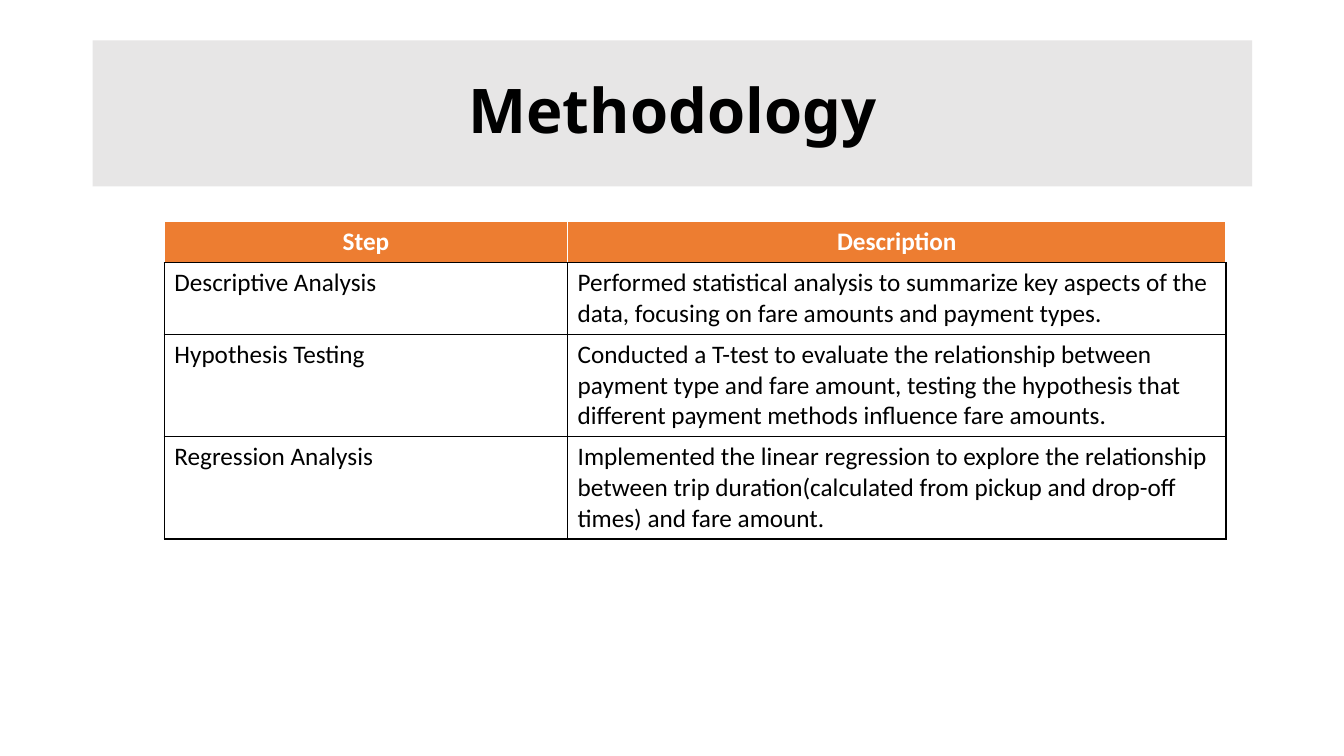
import pptx
import pptx.dml.color
import pptx.enum.shapes
import pptx.enum.text
import pptx.oxml
import pptx.oxml.ns
import pptx.util

COLOURS = {"band": "E7E6E6", "header": "ED7D31", "white": "FFFFFF", "black": "000000"}
ALIGN = pptx.enum.text.PP_ALIGN
STEPS = [
    ("Step", "Description"),
    ("Descriptive Analysis",
     "Performed statistical analysis to summarize key aspects of the data, "
     "focusing on fare amounts and payment types."),
    ("Hypothesis Testing",
     "Conducted a T-test to evaluate the relationship between payment type and fare amount, "
     "testing the hypothesis that different payment methods influence fare amounts."),
    ("Regression Analysis",
     "Implemented the linear regression to explore the relationship between trip duration"
     "(calculated from pickup and drop-off times) and fare amount."),
]


class SlideBuilder:
    """Hold the style and the current slide, and add its elements."""

    def __init__(self, slide, colours):
        self.slide = slide
        self.colours = colours

    def colour(self, name):
        return pptx.dml.color.RGBColor.from_string(self.colours[name])

    def paint(self, target, name):
        target.fill.solid()
        target.fill.fore_color.rgb = self.colour(name)

    def add_text(self, frame, text, colour, font, paragraph):
        para = frame.paragraphs[0]
        span = para.add_run()
        span.text = text
        for target, values in ((para, paragraph), (span.font, font)):
            for key, value in values.items():
                setattr(target, key, value)
        span.font.color.rgb = self.colour(colour)

    def add_title(self, text, bounds):
        box = self.slide.shapes.add_shape(
            pptx.enum.shapes.MSO_SHAPE.RECTANGLE, *map(pptx.util.Inches, bounds))
        box.shadow.inherit = False
        box.line.fill.background()
        self.paint(box, "band")
        box.text_frame.word_wrap = True
        box.text_frame.vertical_anchor = pptx.enum.text.MSO_ANCHOR.MIDDLE
        font = {"name": "Noto Sans", "size": pptx.util.Pt(44), "bold": True}
        self.add_text(box.text_frame, text, "black", font,
                      {"alignment": ALIGN.CENTER, "line_spacing": 0.9})

    def add_borders(self, cell, sides):
        properties = cell._tc.get_or_add_tcPr()
        for index, (side, name) in enumerate(sides.items()):
            line = pptx.oxml.parse_xml(
                f'<a:ln{side} {pptx.oxml.ns.nsdecls("a")} w="12700"><a:solidFill>'
                f'<a:srgbClr val="{self.colours[name]}"/></a:solidFill></a:ln{side}>')
            properties.insert(index, line)

    def add_table(self, rows, corner, widths, heights):
        bounds = (*corner, sum(widths), sum(heights))
        table = self.slide.shapes.add_table(
            len(rows), len(widths), *map(pptx.util.Inches, bounds)).table
        for column, width in zip(table.columns, widths):
            column.width = pptx.util.Inches(width)
        for index, (row, height, texts) in enumerate(zip(table.rows, heights, rows)):
            row.height = pptx.util.Inches(height)
            header = index == 0
            edge = "white" if header else "black"
            font = {"name": "Calibri", "size": pptx.util.Pt(18), "bold": header}
            paragraph = {"alignment": ALIGN.CENTER if header else ALIGN.LEFT}
            for cell, text in zip(row.cells, texts):
                self.paint(cell, "header" if header else "white")
                self.add_borders(cell, {"L": edge, "R": edge, "T": edge, "B": "black"})
                self.add_text(cell.text_frame, text, edge, font, paragraph)


def main():
    deck = pptx.Presentation()
    deck.slide_width = pptx.util.Inches(13.33)
    deck.slide_height = pptx.util.Inches(7.5)
    page = SlideBuilder(deck.slides.add_slide(deck.slide_layouts[6]), COLOURS)
    page.add_title("Methodology", (0.92, 0.4, 11.5, 1.45))
    page.add_table(STEPS, (1.63, 2.2), (4, 6.53), (0.4, 0.7, 1, 1))
    deck.save("out.pptx")


if __name__ == "__main__":
    main()
